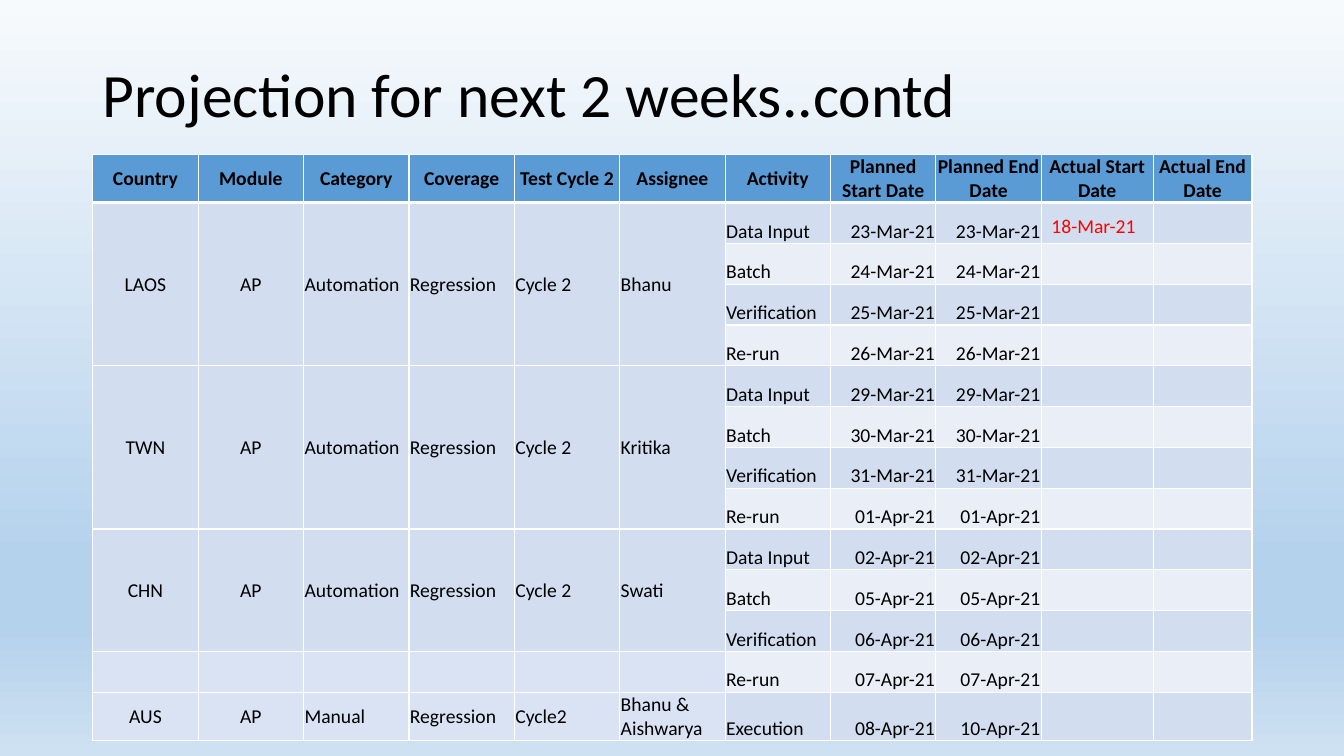
"""Build a slide with a two-week test projection table."""
import pptx
import pptx.dml.color
import pptx.enum.text
import pptx.oxml
import pptx.oxml.ns
import pptx.util

TITLE = "Projection for next 2 weeks..contd"
HEADERS = ["Country", "Module", "Category", "Coverage", "Test Cycle 2", "Assignee", "Activity",
           "Planned Start Date", "Planned End Date", "Actual Start Date", "Actual End Date"]
ASSIGNMENTS = [
    (4, ["LAOS", "AP", "Automation", "Regression", "Cycle 2", "Bhanu"]),
    (4, ["TWN", "AP", "Automation", "Regression", "Cycle 2", "Kritika"]),
    (3, ["CHN", "AP", "Automation", "Regression", "Cycle 2", "Swati"]),
    (1, [""] * 6),
    (1, ["AUS", "AP", "Manual", "Regression", "Cycle2", "Bhanu & Aishwarya"]),
]
ACTIVITIES = [
    ("Data Input", "23-Mar-21", "23-Mar-21", "18-Mar-21", ""),
    ("Batch", "24-Mar-21", "24-Mar-21", "", ""),
    ("Verification", "25-Mar-21", "25-Mar-21", "", ""),
    ("Re-run", "26-Mar-21", "26-Mar-21", "", ""),
    ("Data Input", "29-Mar-21", "29-Mar-21", "", ""),
    ("Batch", "30-Mar-21", "30-Mar-21", "", ""),
    ("Verification", "31-Mar-21", "31-Mar-21", "", ""),
    ("Re-run", "01-Apr-21", "01-Apr-21", "", ""),
    ("Data Input", "02-Apr-21", "02-Apr-21", "", ""),
    ("Batch", "05-Apr-21", "05-Apr-21", "", ""),
    ("Verification", "06-Apr-21", "06-Apr-21", "", ""),
    ("Re-run", "07-Apr-21", "07-Apr-21", "", ""),
    ("Execution", "08-Apr-21", "10-Apr-21", "", ""),
]
BACKGROUND_STOPS = [(0, "F7FAFD"), (74, "B5D2EC"), (83, "B5D2EC"), (100, "CEE1F2")]
HEADER_FILL, BANDS, UNSPANNED_FILL = "5B9BD5", ("D2DEEF", "EAEFF7"), "DAE3F3"
BLACK, RED, WHITE = "000000", "FF0000", "FFFFFF"
LEFT, TABLE_TOP, WIDTH, TABLE_HEIGHT = 0.92, 1.53, 11.5, 5.82
TITLE_TOP, TITLE_HEIGHT = 0.4, 1.13
ACTUAL_WIDTHS = [1.11, 0.98]
TALL_ROW = 0.48
ALIGN = pptx.enum.text.PP_ALIGN
ANCHOR = pptx.enum.text.MSO_ANCHOR
inches = pptx.util.Inches


def color(value):
    return pptx.dml.color.RGBColor.from_string(value)


def apply(target, values):
    for name, value in values.items():
        setattr(target, name, value)


def write(frame, text, size, text_color=BLACK, bold=False, align=ALIGN.LEFT):
    paragraph = frame.paragraphs[0]
    paragraph.alignment = align
    paragraph.font.size = pptx.util.Pt(size)
    if text:
        run = paragraph.add_run()
        run.text = text
        apply(run.font, {"name": "Calibri", "size": pptx.util.Pt(size), "bold": bold})
        run.font.color.rgb = color(text_color)
    return paragraph


def set_borders(cell, widths):
    properties = cell._tc.get_or_add_tcPr()
    for index, (side, width) in enumerate(zip("LRTB", widths)):
        properties.insert(index, pptx.oxml.parse_xml(
            f'<a:ln{side} {pptx.oxml.ns.nsdecls("a")} w="{pptx.util.Pt(width)}"><a:solidFill>'
            f'<a:srgbClr val="{WHITE}"/></a:solidFill></a:ln{side}>'))


def fill_cell(cell, text, fill, anchor, margins=(0.01, 0.01, 0.01, 0), **text_format):
    names = ("margin_left", "margin_top", "margin_right", "margin_bottom")
    apply(cell, dict(zip(names, map(inches, margins))))
    cell.vertical_anchor = anchor
    cell.fill.solid()
    cell.fill.fore_color.rgb = color(fill)
    write(cell.text_frame, text, 14, **text_format)


presentation = pptx.Presentation()
apply(presentation, {"slide_width": inches(13.33), "slide_height": inches(7.5)})
slide = presentation.slides.add_slide(presentation.slide_layouts[6])

background = slide.background.fill
background.gradient()
background.gradient_angle = 270
stop_list = slide.element.xpath(".//a:gsLst")[0]
stop_list.clear()
for position, stop_color in BACKGROUND_STOPS:
    stop_list.append(pptx.oxml.parse_xml(
        f'<a:gs {pptx.oxml.ns.nsdecls("a")} pos="{position * 1000}">'
        f'<a:srgbClr val="{stop_color}"/></a:gs>'))

title = slide.shapes.add_textbox(*map(inches, (LEFT, TITLE_TOP, WIDTH, TITLE_HEIGHT)))
apply(title.text_frame, {"word_wrap": True, "vertical_anchor": ANCHOR.MIDDLE})
write(title.text_frame, TITLE, 44).line_spacing = 0.9

row_count, column_count = len(ACTIVITIES) + 1, len(HEADERS)
table = slide.shapes.add_table(
    row_count, column_count, *map(inches, (LEFT, TABLE_TOP, WIDTH, TABLE_HEIGHT))).table
regular_count = column_count - len(ACTUAL_WIDTHS)
regular_width = (WIDTH - sum(ACTUAL_WIDTHS)) / regular_count
for column, width in zip(table.columns, [regular_width] * regular_count + ACTUAL_WIDTHS):
    column.width = inches(width)
regular_height = (TABLE_HEIGHT - 2 * TALL_ROW) / (row_count - 2)
for index, row in enumerate(table.rows):
    row.height = inches(TALL_ROW if index in (0, row_count - 1) else regular_height)
    for cell in row.cells:
        set_borders(cell, (1, 1, 3 if index == 1 else 1, 3 if index == 0 else 1))

for column, header in enumerate(HEADERS):
    fill_cell(table.cell(0, column), header, HEADER_FILL, ANCHOR.MIDDLE,
              bold=True, align=ALIGN.CENTER)

first_row = 1
for span, values in ASSIGNMENTS:
    for column, value in enumerate(values):
        cell = table.cell(first_row, column)
        if span > 1:
            cell.merge(table.cell(first_row + span - 1, column))
        fill_cell(cell, value, BANDS[0] if span > 1 else UNSPANNED_FILL, ANCHOR.MIDDLE,
                  align=ALIGN.CENTER if column < 2 else ALIGN.LEFT)
    first_row += span

for row, (activity, start, end, *actual) in enumerate(ACTIVITIES, 1):
    band = BANDS[(row - 1) % 2]
    fill_cell(table.cell(row, 6), activity, band, ANCHOR.BOTTOM)
    for column, date in enumerate((start, end), 7):
        fill_cell(table.cell(row, column), date, band, ANCHOR.BOTTOM, align=ALIGN.RIGHT)
    for column, date in enumerate(actual, 9):
        fill_cell(table.cell(row, column), date, band, ANCHOR.BOTTOM,
                  margins=(0.1, 0.05, 0.1, 0.05), text_color=RED)

presentation.save("out.pptx")
